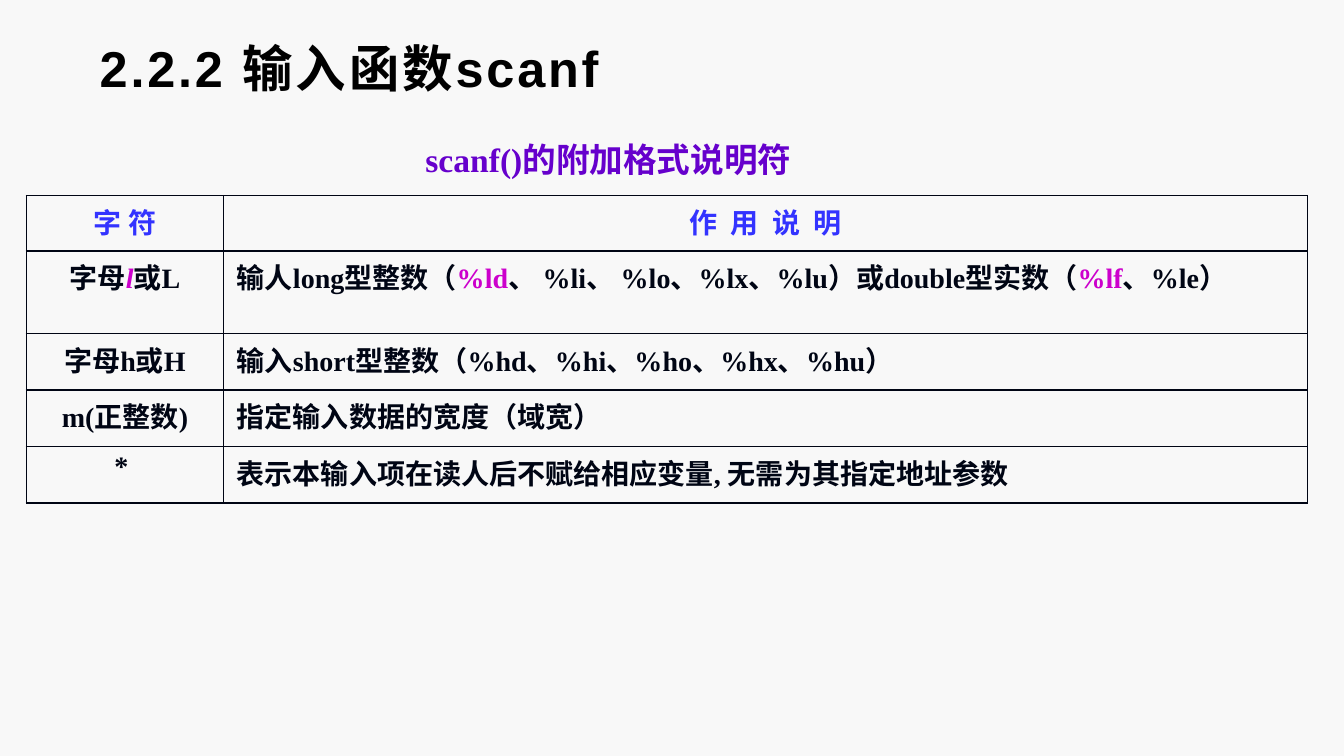
import dataclasses

import pptx
import pptx.dml.color
import pptx.enum.text
import pptx.oxml
import pptx.oxml.ns
import pptx.util

ALIGN = pptx.enum.text.PP_ALIGN
ANCHOR = pptx.enum.text.MSO_ANCHOR
FIT = pptx.enum.text.MSO_AUTO_SIZE


@dataclasses.dataclass(frozen=True)
class Theme:
    background: str = "F8F8F8"
    ink: str = "000514"
    title: str = "000000"
    caption: str = "6600CC"
    header: str = "3333FF"
    accent: str = "CC00CC"
    title_size: int = 36
    caption_size: int = 24
    table_size: int = 20
    title_face: str = "Arial"
    body_face: str = "Times New Roman"
    chinese_face: str = "Noto Sans CJK SC"


def rgb(value):
    return pptx.dml.color.RGBColor.from_string(value)


class Page:
    def __init__(self, deck, theme):
        self.theme = theme
        self.column = deck.slide_width / 100
        self.row = deck.slide_height / 100
        self.slide = deck.slides.add_slide(deck.slide_layouts[6])
        fill = self.slide.background.fill
        fill.solid()
        fill.fore_color.rgb = rgb(theme.background)

    def area(self, left, top, width, height):
        return (round(left * self.column), round(top * self.row),
                round(width * self.column), round(height * self.row))

    def typeset(self, frame, pieces, size, color, face=None, align=ALIGN.LEFT, spacing=0):
        paragraph = frame.paragraphs[0]
        paragraph.alignment = align
        font = paragraph.font
        font.size = pptx.util.Pt(size)
        font.bold = True
        font.color.rgb = rgb(color)
        font.name = face or self.theme.body_face
        defaults = paragraph._p.pPr.find(pptx.oxml.ns.qn("a:defRPr"))
        if spacing:
            defaults.set("spc", str(round(spacing * 100)))
        defaults.append(pptx.oxml.parse_xml(
            f'<a:ea {pptx.oxml.ns.nsdecls("a")} typeface="{self.theme.chinese_face}"/>'))
        for piece in pieces:
            text, italic = piece if isinstance(piece, tuple) else (piece, None)
            run = paragraph.add_run()
            run.text = text
            if italic is not None:
                run.font.color.rgb = rgb(self.theme.accent)
                run.font.italic = italic

    def text(self, box, pieces, size, color, wrap=True, anchor=ANCHOR.TOP, **style):
        frame = self.slide.shapes.add_textbox(*self.area(*box)).text_frame
        frame.word_wrap = wrap
        frame.auto_size = FIT.NONE if wrap else FIT.SHAPE_TO_FIT_TEXT
        frame.vertical_anchor = anchor
        self.typeset(frame, pieces, size, color, **style)

    def border(self, cell):
        properties = cell._tc.get_or_add_tcPr()
        for position, side in enumerate(("lnL", "lnR", "lnT", "lnB")):
            properties.insert(position, pptx.oxml.parse_xml(
                f'<a:{side} {pptx.oxml.ns.nsdecls("a")} w="12700"><a:solidFill>'
                f'<a:srgbClr val="{self.theme.ink}"/></a:solidFill></a:{side}>'))

    def table(self, left, top, widths, heights, header, rows):
        box = self.area(left, top, sum(widths), sum(heights))
        table = self.slide.shapes.add_table(len(heights), len(widths), *box).table
        table.first_row = table.horz_banding = False
        for column, width in zip(table.columns, widths):
            column.width = round(width * self.column)
        for row, height in zip(table.rows, heights):
            row.height = round(height * self.row)
        for r, entries in enumerate([header, *rows]):
            for c, pieces in enumerate(entries):
                cell = table.cell(r, c)
                cell.fill.background()
                cell.margin_left = cell.margin_right = pptx.util.Inches(0.13)
                cell.margin_top = cell.margin_bottom = pptx.util.Inches(0.05)
                self.border(cell)
                self.typeset(cell.text_frame, pieces, self.theme.table_size,
                             self.theme.ink if r else self.theme.header,
                             align=ALIGN.LEFT if r and c else ALIGN.CENTER,
                             spacing=2.5 if (r, c) == (0, 1) else 0)


def main():
    deck = pptx.Presentation()
    deck.slide_width = pptx.util.Inches(13.33)
    deck.slide_height = pptx.util.Inches(7.5)
    theme = Theme()
    page = Page(deck, theme)
    page.text((30.91, 17.73, 29.78, 6.67), ["scanf()的附加格式说明符"],
              theme.caption_size, theme.caption, wrap=False)
    page.table(1.95, 25.87, [14.7, 80.65], [7.33, 10.93, 7.47, 7.47, 7.47],
               [["字 符"], ["作 用 说 明"]],
               [
                   [["字母", ("l", True), "或L"],
                    ["输人long型整数（", ("%ld", False),
                     "、 %li、 %lo、%lx、%lu）或double型实数（",
                     ("%lf", False), "、%le）"]],
                   [["字母h或H"], ["输入short型整数（%hd、%hi、%ho、%hx、%hu）"]],
                   [["m(正整数)"], ["指定输入数据的宽度（域宽）"]],
                   [["* "], ["表示本输入项在读人后不赋给相应变量, 无需为其指定地址参数"]],
               ])
    page.text((6.68, 4.4, 85, 8.93), ["2.2.2 输入函数scanf"],
              theme.title_size, theme.title, anchor=ANCHOR.MIDDLE,
              face=theme.title_face, spacing=2)
    deck.save("out.pptx")


if __name__ == "__main__":
    main()
